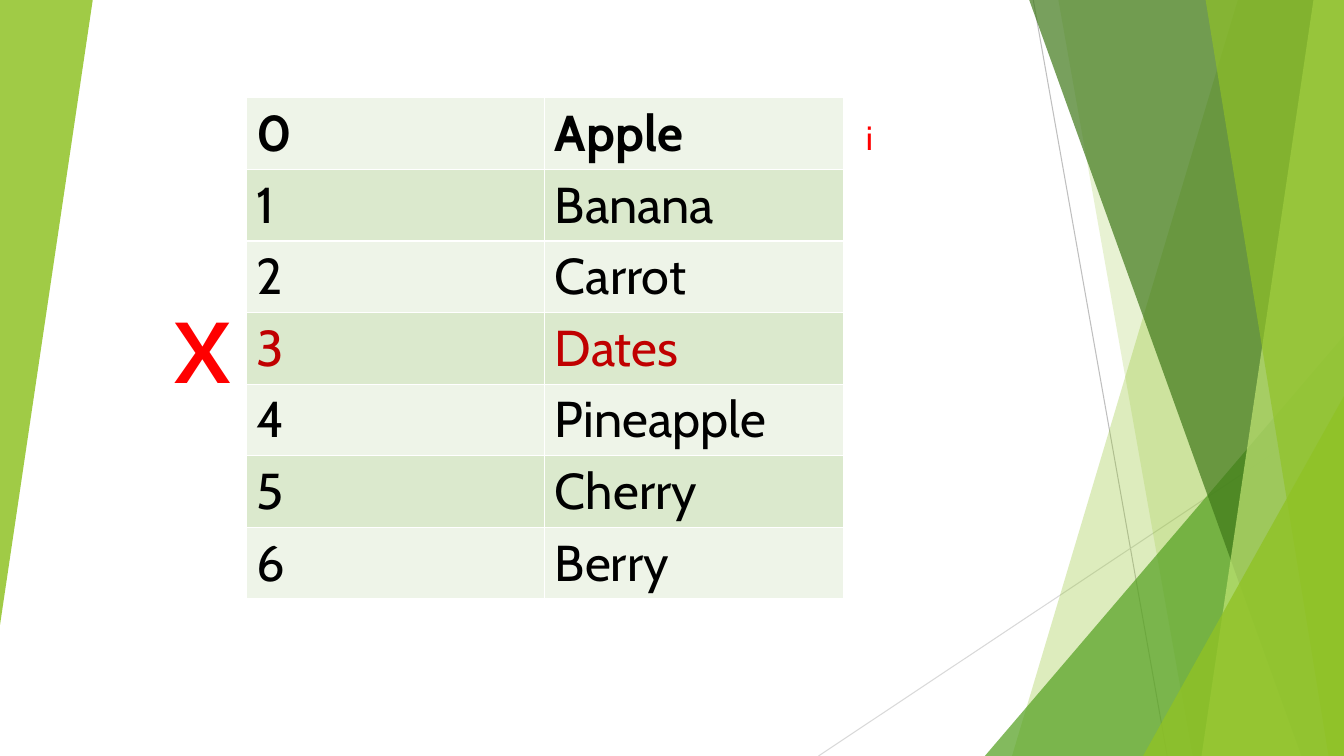
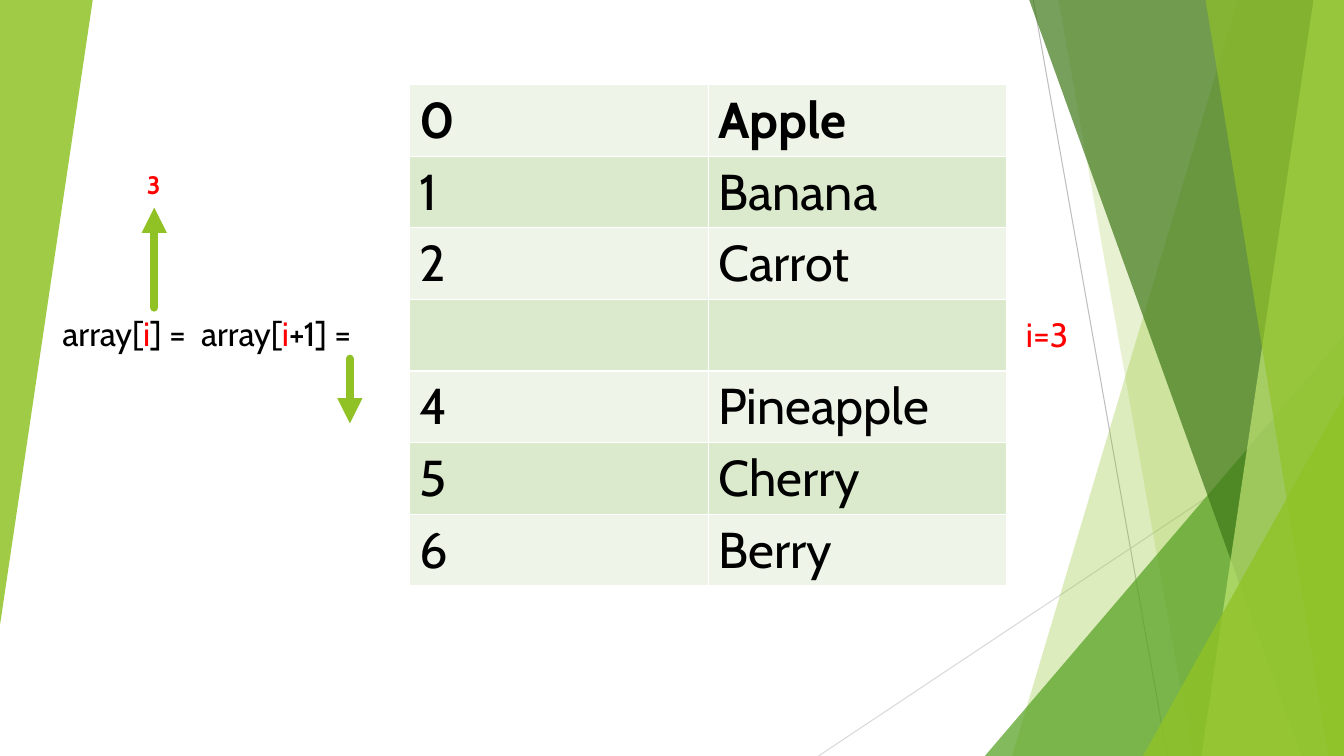
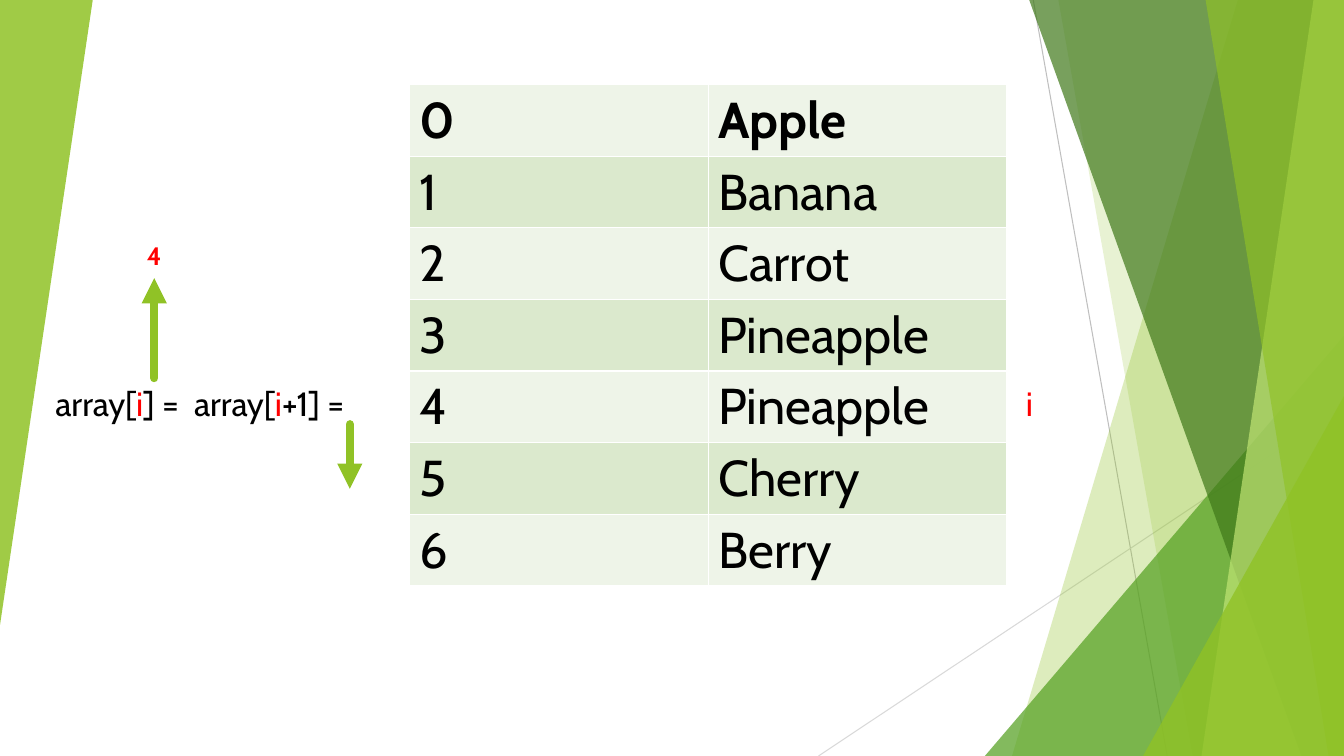
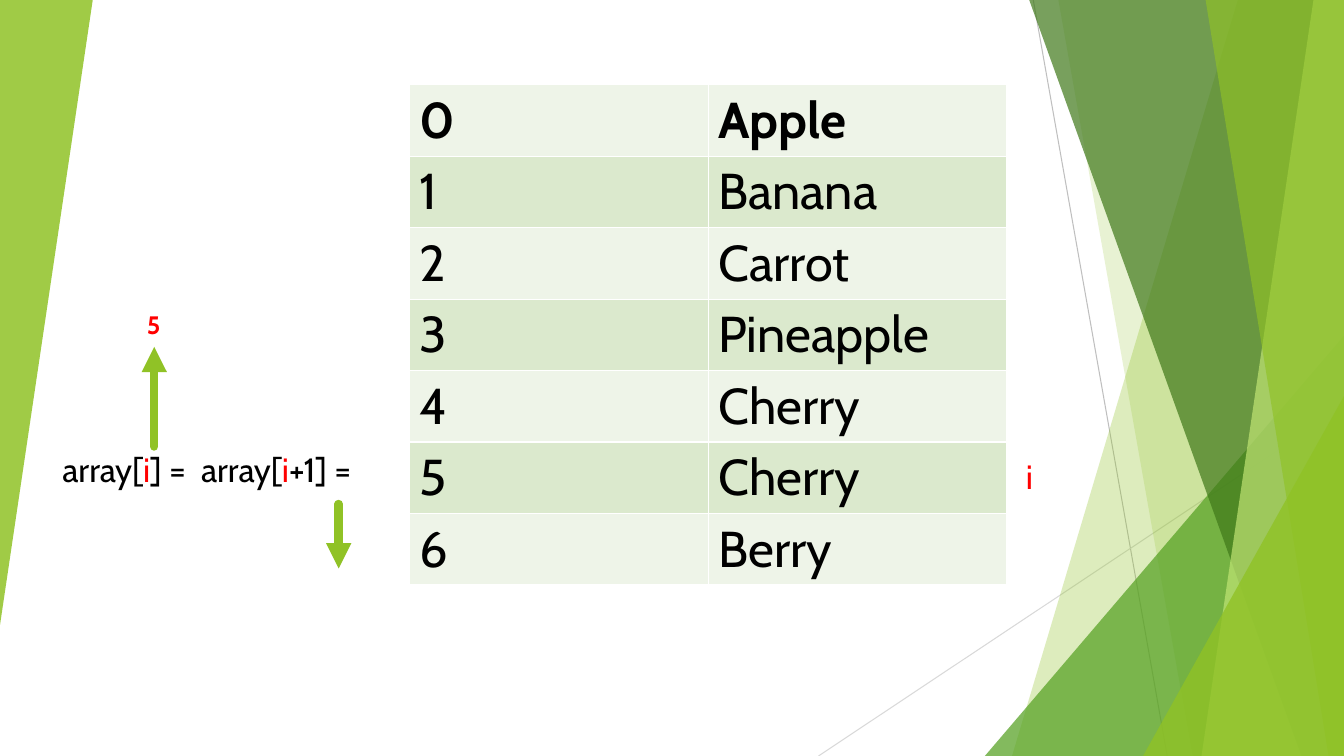
from dataclasses import dataclass

from lxml.etree import SubElement as Sub
from pptx import Presentation
from pptx.dml.color import RGBColor as Rgb
from pptx.enum.shapes import MSO_CONNECTOR as Link, MSO_SHAPE as Shape
from pptx.enum.text import MSO_ANCHOR as Anchor, MSO_AUTO_SIZE as Fit
from pptx.oxml.ns import qn
from pptx.util import Inches, Pt


@dataclass(frozen=True)
class Theme:
    font: str = "Cabin"
    # Colours
    ink: str = "000000"
    red: str = "FF0000"
    dark_red: str = "C00000"
    lime: str = "90C226"
    green: str = "54A021"
    forest: str = "3F7819"
    pale: str = "C0E474"
    gray: str = "BFBFBF"
    light: str = "D9D9D9"
    bands: tuple = ("EEF4E8", "DBE9CD")
    # Type sizes and line widths in points
    cross: int = 88
    cell: int = 36
    code: int = 24
    note: int = 18
    hair: float = 0.75
    thick: int = 6


class Deck:
    """Holds the theme and the current slide; lengths are percents of the slide."""

    def __init__(self, theme):
        self.theme = theme
        self.file = Presentation()
        self.file.slide_width = Inches(13.33)
        self.file.slide_height = Inches(7.5)
        self.plain = self.file.slide_layouts[6]

    def x(self, share):
        return round(self.file.slide_width * share / 100)

    def y(self, share):
        return round(self.file.slide_height * share / 100)

    def box(self, left, top, width, height):
        return self.x(left), self.y(top), self.x(width), self.y(height)

    def page(self):
        self.slide = self.file.slides.add_slide(self.plain)
        self.shapes = self.slide.shapes

    def share(self):
        """Move all that is on the slide to its layout, for every slide to show."""
        for shape in list(self.shapes):
            self.plain.shapes.element.append(shape.element)

    def paint(self, shape, color, alpha):
        shape.shadow.inherit = False
        shape.line.fill.background()
        shape.fill.solid()
        shape.fill.fore_color.rgb = Rgb.from_string(color)
        tint = shape.element.spPr.find(".//" + qn("a:srgbClr"))
        Sub(tint, qn("a:alpha"), val=str(alpha * 1000))

    def panel(self, top, foot, color, alpha):
        """Fill from a slanted edge to the right side of the slide."""
        pen = self.shapes.build_freeform(self.x(top), 0)
        right, low = self.x(100), self.y(100)
        pen.add_line_segments([(right, 0), (right, low), (self.x(foot), low)])
        self.paint(pen.convert_to_shape(), color, alpha)

    def wedge(self, place, color, alpha, turn=0):
        shape = self.shapes.add_shape(Shape.ISOSCELES_TRIANGLE, *self.box(*place))
        shape.adjustments[0] = 1
        shape.rotation = turn
        self.paint(shape, color, alpha)

    def line(self, start, end, color, width, arrow=False):
        link = self.shapes.add_connector(
            Link.STRAIGHT, self.x(start[0]), self.y(start[1]),
            self.x(end[0]), self.y(end[1]))
        link.line.color.rgb = Rgb.from_string(color)
        link.line.width = Pt(width)
        props = link.element.spPr
        if arrow:
            stroke = props.find(qn("a:ln"))
            stroke.set("cap", "rnd")
            Sub(stroke, qn("a:tailEnd"), type="triangle")
        Sub(props, qn("a:effectLst"))

    def arrow(self, x, top, length):
        self.line((x, top), (x, top + length), self.theme.lime,
                  self.theme.thick, arrow=True)

    def style(self, part, size, color=None, bold=False):
        part.font.name = self.theme.font
        part.font.size = Pt(size)
        part.font.bold = bold
        if color:
            part.font.color.rgb = Rgb.from_string(color)

    def text(self, place, runs, size, bold=False):
        """Write (words, colour) runs on one line."""
        frame = self.shapes.add_textbox(*self.box(*place)).text_frame
        frame.word_wrap = False
        frame.auto_size = Fit.SHAPE_TO_FIT_TEXT
        line = frame.paragraphs[0]
        self.style(line, size, bold=bold)
        for words, color in runs:
            run = line.add_run()
            run.text = words
            run.font.color.rgb = Rgb.from_string(color)

    def table(self, left, top, height, rows, mark=None):
        place = self.box(left, top, 44.48, height * len(rows))
        frame = self.shapes.add_table(len(rows), len(rows[0]), *place)
        grid = frame.table
        grid.horz_banding = False
        for r, row in enumerate(rows):
            grid.rows[r].height = self.y(height)
            color = self.theme.dark_red if r == mark else self.theme.ink
            for c, words in enumerate(row):
                cell = grid.cell(r, c)
                cell.fill.solid()
                cell.fill.fore_color.rgb = Rgb.from_string(self.theme.bands[r % 2])
                cell.vertical_anchor = Anchor.TOP
                cell.text = words
                self.style(cell.text_frame.paragraphs[0], self.theme.cell,
                           color, bold=r == 0)


def facet(deck):
    """Draw the green facets at both sides."""
    t = deck.theme
    deck.line((76.88, 0), (86.85, 100), t.gray, t.hair)
    deck.line((100, 53.73), (60.9, 100), t.light, t.hair)
    deck.panel(92.1, 75.3, t.lime, 30)
    deck.panel(78.75, 88.73, t.lime, 20)
    deck.wedge((73.28, 44.4, 26.72, 55.6), t.green, 72)
    deck.panel(76.58, 96.83, t.forest, 70)
    deck.panel(97.73, 89.4, t.pale, 70)
    deck.panel(89.7, 98.85, t.lime, 65)
    deck.wedge((85.05, 52.4, 14.95, 47.6), t.lime, 80)
    deck.wedge((0, 0, 6.9, 82.67), t.lime, 85, turn=180)


def step(deck, rows, height, code, down, up, label, value):
    """Show one shift of the array: code line, arrows, value and pointer."""
    t = deck.theme
    deck.table(30.45, 11.2, height, rows)
    deck.text((*code, 27.6, 6.67),
              [("array[", t.ink), ("i", t.red), ("] =  array[", t.ink),
               ("i", t.red), ("+1] =", t.ink)], t.code)
    deck.arrow(*down, 8.53)
    deck.arrow(11.48, up, -13.2)
    deck.text((10.2, up - 18.87, 2.63, 5.33), [(value, t.red)], t.note, bold=True)
    words, top, width = label
    deck.text((75.6, top, width, 6.67), [(words, t.red)], t.code)


def main():
    deck = Deck(Theme())
    t = deck.theme
    fruits = ["Apple", "Banana", "Carrot", "Dates", "Pineapple", "Cherry", "Berry"]
    rows = [(str(i), name) for i, name in enumerate(fruits)]

    # Item to remove
    deck.page()
    facet(deck)
    deck.share()
    deck.table(18.3, 12.93, 9.47, rows, mark=3)
    deck.text((12.15, 33.73, 6.15, 21.07), [("x", t.red)], t.cross)
    deck.text((63.68, 14.8, 2.25, 6.67), [("i", t.red)], t.code)

    # Row 3 is empty
    deck.page()
    rows[3] = ("", "")
    step(deck, rows, 9.47, (3.9, 40.67), (26.03, 47.47), 40.67,
         ("i=3", 40.8, 4.88), "3")

    # Row 4 moves up
    deck.page()
    rows[3] = ("3", fruits[4])
    step(deck, rows, 9.47, (3.38, 50), (26.03, 56.13), 50, ("i", 50, 2.25), "4")

    # Row 5 moves up
    deck.page()
    rows[4] = ("4", fruits[5])
    step(deck, rows, 9.33, (3.9, 58.67), (25.2, 66.67), 59.07,
         ("i", 59.6, 2.25), "5")

    deck.file.save("out.pptx")


if __name__ == "__main__":
    main()
